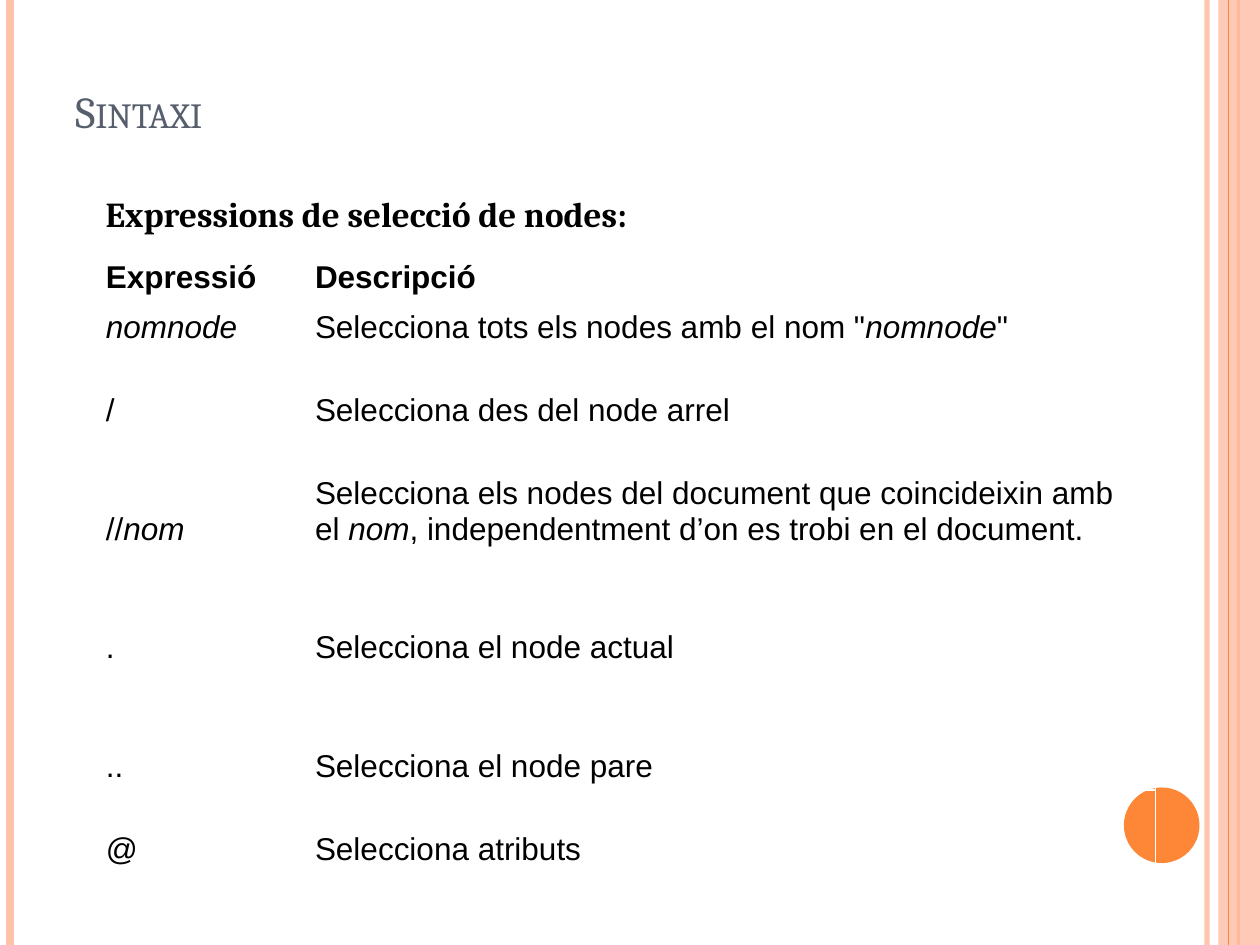
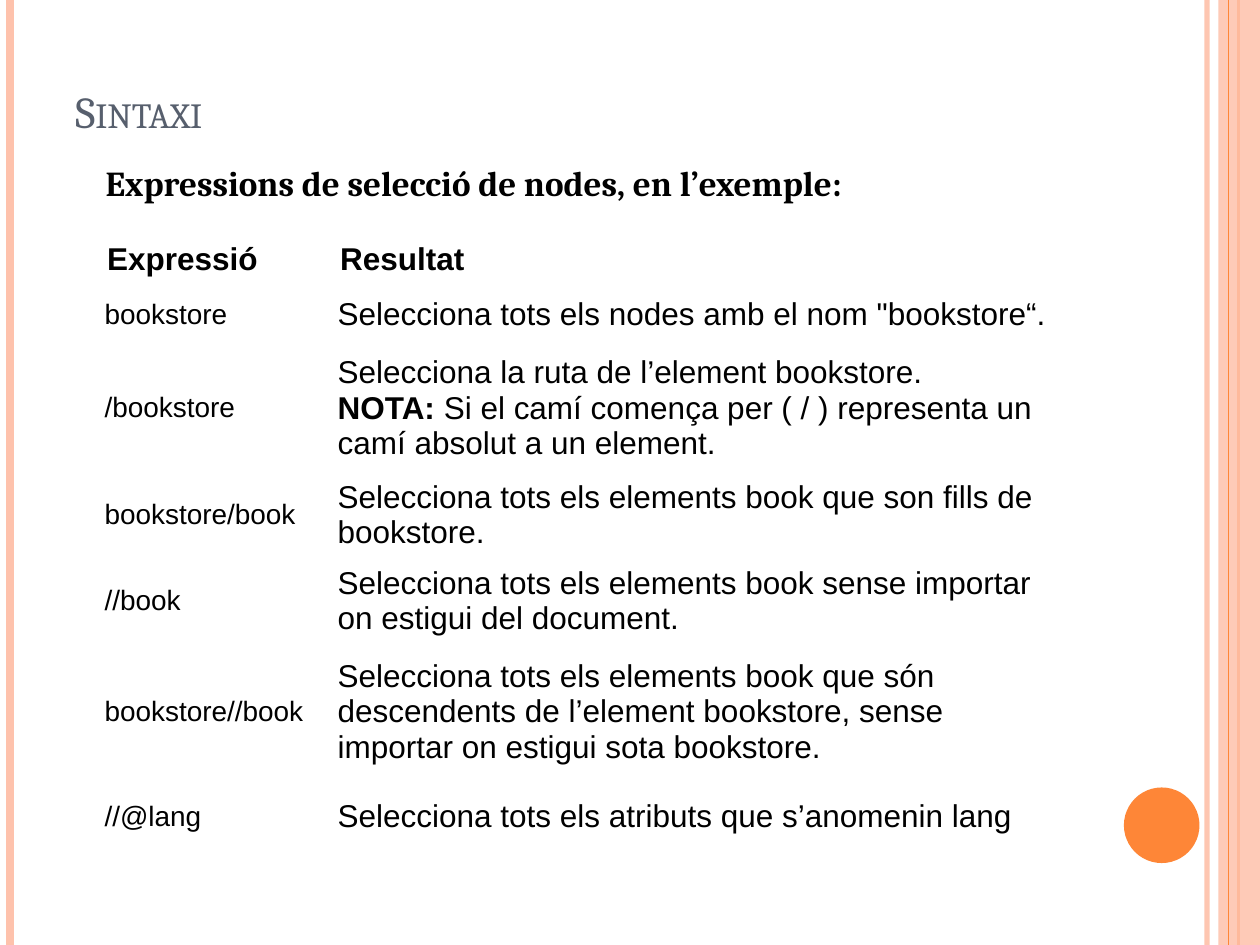
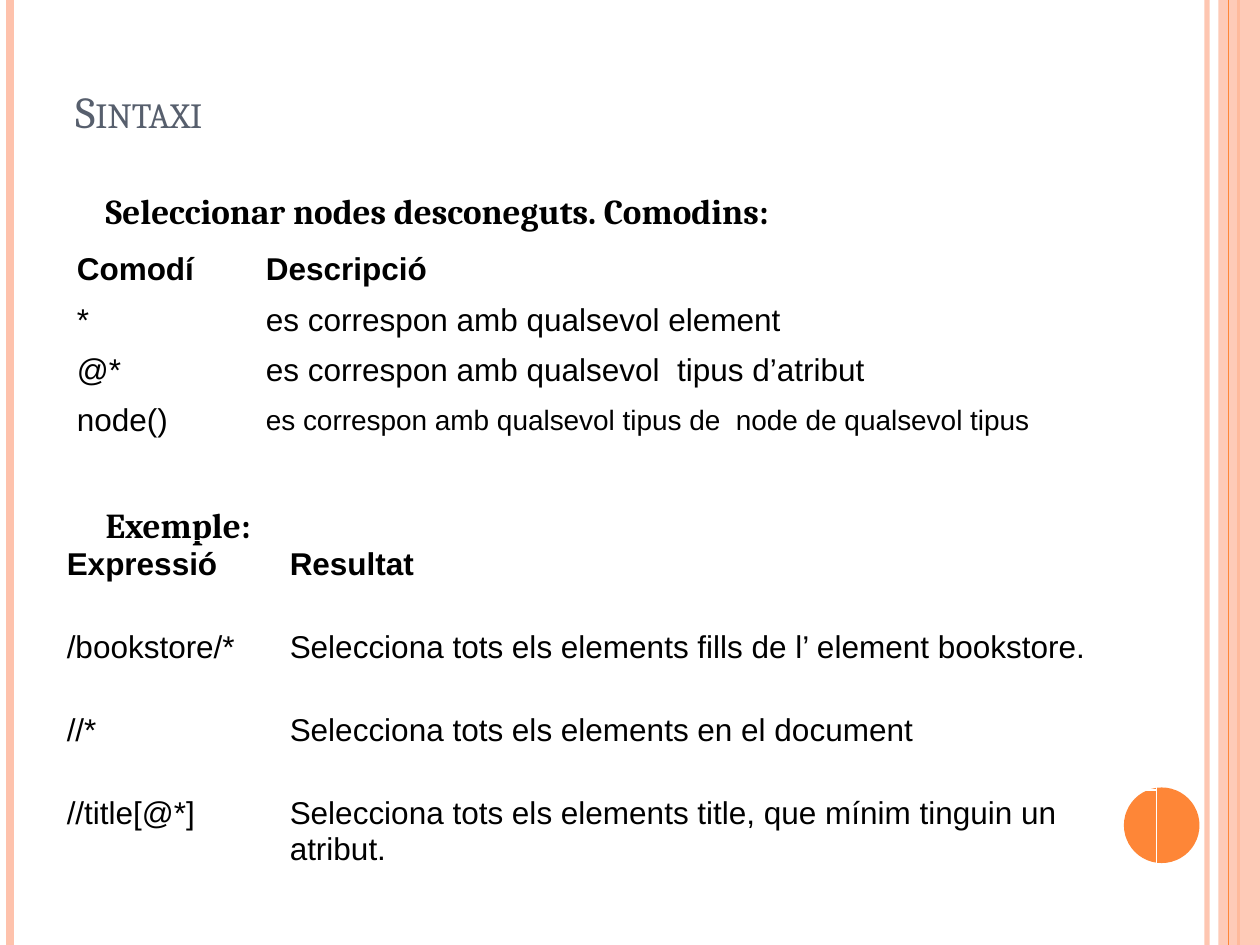
from lxml import etree
from pptx import Presentation
from pptx.dml.color import RGBColor
from pptx.enum import shapes, text
from pptx.oxml.ns import qn
from pptx.util import Inches, Pt

COLORS = {
    "peach": "FEC2AC",
    "orange": "FE8637",
    "title": "575F6D",
    "text": "000000",
}
SERIF, SANS = "Cambria", "Arial"
ANCHOR = text.MSO_ANCHOR
HEIGHT = 7.5
LINE_ROW, GAP_ROW, WIDE_ROW = 0.38, 0.66, 0.94

ITALIC = {"italic": True}
BOLD = {"bold": True}
SMALL = {"size": 16}
NEW_PARAGRAPH = "\n"


def rgb(name):
    return RGBColor.from_string(COLORS[name])


def set_alpha(fill_parent, percent):
    color = fill_parent.find(".//" + qn("a:srgbClr"))
    etree.SubElement(color, qn("a:alpha")).set("val", str(percent * 1000))


def add_run(p, content, font=SANS, size=18, color="text", bold=False, italic=False):
    r = p.add_run()
    r.text = content
    r.font.name = font
    r.font.size = Pt(size)
    r.font.bold = bold
    r.font.italic = italic
    r.font.color.rgb = rgb(color)
    return r


def add_stripe(s, x, color, width, alpha=100):
    line = s.shapes.add_connector(
        shapes.MSO_CONNECTOR.STRAIGHT, Inches(x), 0, Inches(x), Inches(HEIGHT))
    line.line.color.rgb = rgb(color)
    line.line.width = Pt(width)
    sp_pr = line._element.spPr
    if alpha < 100:
        set_alpha(sp_pr, alpha)
    etree.SubElement(sp_pr, qn("a:effectLst"))


def add_filled(s, kind, box, color, alpha=100):
    sp = s.shapes.add_shape(kind, *map(Inches, box))
    sp.shadow.inherit = False
    sp.fill.solid()
    sp.fill.fore_color.rgb = rgb(color)
    sp.line.fill.background()
    if alpha < 100:
        set_alpha(sp._element.spPr, alpha)


def add_text_box(s, box, anchor=ANCHOR.TOP):
    tf = s.shapes.add_textbox(*map(Inches, box)).text_frame
    tf.word_wrap = True
    tf.vertical_anchor = anchor
    return tf.paragraphs[0]


def add_heading(s, y, content):
    p = add_text_box(s, (0.74, y, 8.12, 0.6))
    p.alignment = text.PP_ALIGN.JUSTIFY
    p.line_spacing = 1.5
    add_run(p, content, SERIF, 20, bold=True)


def fill_cell(cell, content, anchor, inset, **style):
    """Write a string, or a list of strings and (string, style) runs."""
    cell.fill.background()
    cell.vertical_anchor = anchor
    cell.margin_left = cell.margin_right = Inches(inset)
    cell.margin_top = cell.margin_bottom = Inches(inset / 2)
    tf = cell.text_frame
    p = tf.paragraphs[0]
    for item in [content] if isinstance(content, str) else content:
        if item == NEW_PARAGRAPH:
            p = tf.add_paragraph()
            continue
        words, own = (item, {}) if isinstance(item, str) else item
        add_run(p, words, **{**style, **own})


def add_grid(s, x, y, widths, heights, rows, anchor=ANCHOR.MIDDLE, inset=0.1):
    """Add a plain table whose first row is a bold header."""
    table = s.shapes.add_table(
        len(rows), len(widths), Inches(x), Inches(y),
        Inches(sum(widths)), Inches(sum(heights))).table
    table.first_row = table.horz_banding = False
    for column, width in zip(table.columns, widths):
        column.width = Inches(width)
    for i, (row, height) in enumerate(zip(rows, heights)):
        table.rows[i].height = Inches(height)
        for j, content in enumerate(row):
            fill_cell(table.cell(i, j), content, anchor,
                      inset if i else 0.1, bold=i == 0)


def add_syntax_slide(prs):
    s = prs.slides.add_slide(prs.slide_layouts[6])
    add_stripe(s, 9.58, "peach", 3, 93)
    add_stripe(s, 0.08, "peach", 4.5)
    add_stripe(s, 9.83, "orange", 1.5)
    add_filled(s, shapes.MSO_SHAPE.RECTANGLE, (9.67, 0, 0.33, HEIGHT), "peach", 86)
    add_stripe(s, 9.75, "orange", 0.75)
    add_filled(s, shapes.MSO_SHAPE.OVAL, (8.92, 6.25, 0.6, 0.6), "orange")
    p = add_text_box(s, (0.5, 0.3, 8.17, 0.84), ANCHOR.BOTTOM)
    r = add_run(p, "Sintaxi", SERIF, 25.2, "title")
    r.font._element.set("cap", "small")
    return s


def node_selection(prs):
    s = add_syntax_slide(prs)
    add_heading(s, 1.31, "Expressions de selecció de nodes:")
    rows = [
        ("Expressió", "Descripció"),
        ([("nomnode", ITALIC)],
         ['Selecciona tots els nodes amb el nom "', ("nomnode", ITALIC), '"']),
        ("/", "Selecciona des del node arrel"),
        (["//", ("nom", ITALIC)],
         ["Selecciona els nodes del document que coincideixin amb el ",
          ("nom", ITALIC), ", independentment d’on es trobi en el document."]),
        (".", "Selecciona el node actual"),
        ("..", "Selecciona el node pare"),
        ("@", "Selecciona atributs"),
    ]
    heights = [LINE_ROW] * 2 + [GAP_ROW] + [WIDE_ROW] * 3 + [GAP_ROW]
    add_grid(s, 0.74, 1.99, (1.66, 6.77), heights, rows, ANCHOR.BOTTOM)


def selection_example(prs):
    s = add_syntax_slide(prs)
    add_heading(s, 1.07, "Expressions de selecció de nodes, en l’exemple:")
    results = [
        ("bookstore", 'Selecciona tots els nodes amb el nom "bookstore“.'),
        ("/bookstore",
         ["Selecciona la ruta de l’element bookstore.", NEW_PARAGRAPH,
          ("NOTA:", BOLD),
          " Si el camí comença per ( / ) representa un camí absolut a un element."]),
        ("bookstore/book",
         "Selecciona tots els elements book que son fills de bookstore."),
        ("//book",
         "Selecciona tots els elements book sense importar on estigui del document."),
        ("bookstore//book",
         "Selecciona tots els elements book que són descendents de l’element "
         "bookstore, sense importar on estigui sota bookstore."),
        ("//@lang", "Selecciona tots els atributs que s’anomenin lang"),
    ]
    rows = [("Expressió", "Resultat")]
    rows += [([(expression, SMALL)], result) for expression, result in results]
    heights = (LINE_ROW, 0.47, 1.02, 0.65, 0.63, 1.08, 0.58)
    add_grid(s, 0.75, 1.86, (1.85, 5.91), heights, rows, inset=0.08)


def wildcards(prs):
    s = add_syntax_slide(prs)
    add_heading(s, 1.29, "Seleccionar nodes desconeguts. Comodins:")
    add_heading(s, 3.78, "Exemple:")
    add_grid(s, 0.51, 1.94, (1.5, 6.67), [LINE_ROW] * 4, [
        ("Comodí", "Descripció"),
        ("*", "es correspon amb qualsevol element"),
        ("@*", "es correspon amb qualsevol  tipus d’atribut"),
        ("node()",
         [("es correspon amb qualsevol tipus de  node de qualsevol tipus", SMALL)]),
    ])
    add_grid(s, 0.43, 4.29, (1.77, 6.98), [GAP_ROW] * 4, [
        ("Expressió", "Resultat"),
        ("/bookstore/*",
         "Selecciona tots els elements fills de l’ element bookstore."),
        ("//*", "Selecciona tots els elements en el document"),
        ("//title[@*]",
         "Selecciona tots els elements title, que mínim tinguin un atribut."),
    ], ANCHOR.TOP)


def main():
    prs = Presentation()
    prs.slide_width, prs.slide_height = Inches(10), Inches(HEIGHT)
    node_selection(prs)
    selection_example(prs)
    wildcards(prs)
    prs.save("out.pptx")


if __name__ == "__main__":
    main()
